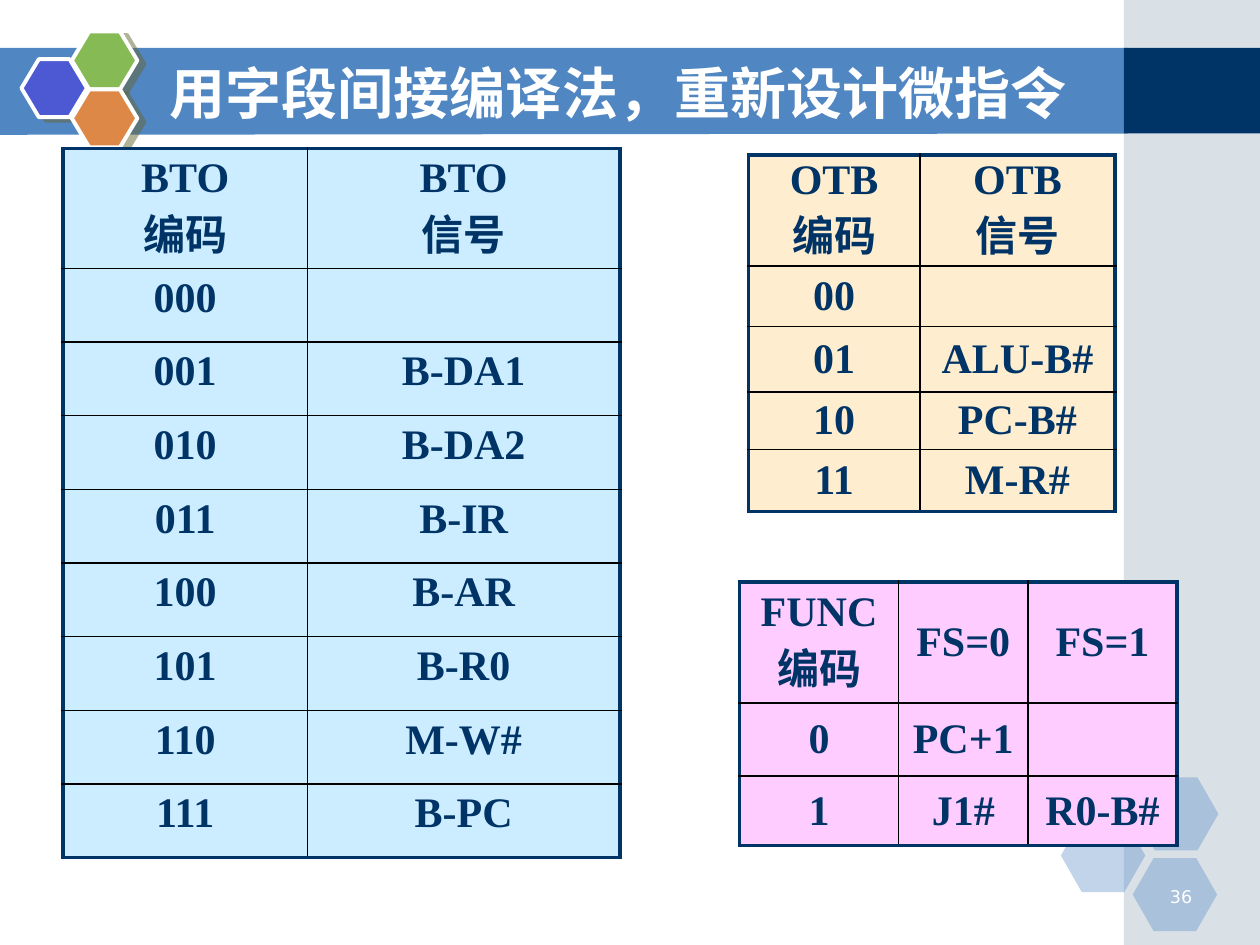
"""Build the slide of recoded micro-instruction fields."""
from typing import NamedTuple

from lxml import etree
from pptx import Presentation
from pptx.dml.color import RGBColor
from pptx.enum import shapes, text
from pptx.oxml.ns import qn
from pptx.util import Emu, Pt

COLS, ROWS = 1000, 750
UNIT = 9144
NAVY, BLUE, WHITE, BLACK = "003366", "5086C2", "FFFFFF", "000000"
LATIN, HAN, SANS = "Times New Roman", "Noto Sans CJK SC", "DejaVu Sans"
RECT, HEX = shapes.MSO_SHAPE.RECTANGLE, shapes.MSO_SHAPE.HEXAGON


class Box(NamedTuple):
    """Left, top, width and height in grid units."""
    x: float
    y: float
    w: float
    h: float


class Tile(NamedTuple):
    """A filled preset shape."""
    box: Box
    fill: str
    kind: int = HEX
    alpha: int = 100
    bend: float = 0.286
    edge: bool = False


class Grid(NamedTuple):
    """A code table with its place, sizes and text."""
    x: float
    y: float
    cols: list[int]
    rows: list[int]
    fill: str
    data: list[list[str]]
    pad: tuple[int, int] = (10, 5)
    mid: bool = True


BARS = [Tile(Box(892, 0, 108, ROWS), "A0B5C4", RECT, 40),
        Tile(Box(892, 38, 108, 68), NAVY, RECT)]
FAINT = [Tile(Box(x, y, 67, 58), BLUE, alpha=35)
         for x, y in ((842, 650), (900, 617), (899, 681))]
LOGO = [Tile(Box(x, y, 52, 46), fill, bend=0.3, edge=True)
        for x, y, fill in ((17, 47, "4C59D2"), (57, 25, "85BA54"), (57, 71, "DE8848"))]

SIGNS = ["", "B-DA1", "B-DA2", "B-IR", "B-AR", "B-R0", "M-W#", "B-PC"]
GRIDS = [
    Grid(50, 118, [194, 248], [95] + [58.5] * 8, "CCECFF",
         [["BTO\n编码", "BTO\n信号"]] + [[f"{i:03b}", s] for i, s in enumerate(SIGNS)],
         mid=False),
    Grid(594, 123, [136, 155], [88, 48, 52, 46, 49], "FEEDCE",
         [["OTB\n编码", "OTB\n信号"], ["00", ""], ["01", "ALU-B#"],
          ["10", "PC-B#"], ["11", "M-R#"]], pad=(0, 0)),
    Grid(587, 462, [126, 103, 118], [96, 58, 55], "FFCCFF",
         [["FUNC\n编码", "FS=0", "FS=1"], ["0", "PC+1", ""], ["1", "J1#", "R0-B#"]]),
]


def span(n: float) -> Emu:
    """Turn grid units into a length."""
    return Emu(round(n * UNIT))


def paint(fmt, hue: str) -> None:
    """Make a fill solid in a hex colour."""
    fmt.solid()
    fmt.fore_color.rgb = RGBColor.from_string(hue)


def add_hue(node, hue: str, alpha: int = 100) -> None:
    """Add a colour element with its opacity."""
    clr = etree.SubElement(node, qn("a:srgbClr"), val=hue)
    if alpha < 100:
        etree.SubElement(clr, qn("a:alpha"), val=str(alpha * 1000))


def draw_tile(host, tile: Tile) -> None:
    """Draw one preset shape."""
    shp = host.add_shape(tile.kind, *map(span, tile.box))
    paint(shp.fill, tile.fill)
    if tile.alpha < 100:
        clr = shp._element.spPr.find(".//" + qn("a:srgbClr"))
        etree.SubElement(clr, qn("a:alpha"), val=str(tile.alpha * 1000))
    if tile.kind == HEX:
        shp.adjustments[0] = tile.bend
    shp.shadow.inherit = False
    if not tile.edge:
        shp.line.fill.background()
        return
    paint(shp.line.fill, WHITE)
    shp.line.width = Pt(2.25)
    fx = shp._element.spPr.find(qn("a:effectLst"))
    cast = etree.SubElement(fx, qn("a:outerShdw"), blurRad="0", dist=str(Pt(4.5)),
                            dir=str(27 * 60000), algn="ctr", rotWithShape="0")
    add_hue(cast, "666633", 50)


def draw_band(host) -> None:
    """Draw the title band."""
    pen = host.build_freeform(0, 38, scale=UNIT)
    pen.add_line_segments([(895, 38), (895, 106), (0, 107)], close=True)
    band = pen.convert_to_shape()
    paint(band.fill, BLUE)
    band.line.fill.background()
    band.shadow.inherit = False


def style(para, size: float, face: str, hue: str, bold: bool) -> None:
    """Format every run of a paragraph."""
    for run in para.runs:
        font = run.font
        font.size, font.name, font.bold = Pt(size), face, bold
        font.color.rgb = RGBColor.from_string(hue)
        etree.SubElement(run._r.get_or_add_rPr(), qn("a:ea"), typeface=HAN)


def draw_text(host, box: Box, words: str, size: float, face: str, bold: bool,
              side, anchor) -> None:
    """Draw one white line of text."""
    frame = host.add_textbox(*map(span, box)).text_frame
    frame.word_wrap = True
    frame.vertical_anchor = anchor
    frame.text = words
    para = frame.paragraphs[0]
    para.alignment = side
    style(para, size, face, WHITE, bold)


def add_edge(cell, tag: str, outer: bool) -> None:
    """Add one border to a cell."""
    hue, width = (NAVY, 2.25) if outer else (BLACK, 1)
    line = etree.SubElement(cell._tc.get_or_add_tcPr(), qn(tag), w=str(Pt(width)))
    add_hue(etree.SubElement(line, qn("a:solidFill")), hue)


def fill_cell(cell, grid: Grid, words: str) -> None:
    """Write and format one cell."""
    paint(cell.fill, grid.fill)
    cell.margin_left = cell.margin_right = span(grid.pad[0])
    cell.margin_top = cell.margin_bottom = span(grid.pad[1])
    cell.vertical_anchor = text.MSO_ANCHOR.MIDDLE if grid.mid else text.MSO_ANCHOR.TOP
    cell.text_frame.text = words
    for para in cell.text_frame.paragraphs:
        para.alignment = text.PP_ALIGN.CENTER
        props = para._p.get_or_add_pPr()
        props.set("marL", str(span(38)))
        props.set("indent", str(span(-38)))
        style(para, 24, LATIN, NAVY, True)


def draw_grid(host, grid: Grid) -> None:
    """Draw one code table."""
    high, wide = len(grid.rows), len(grid.cols)
    box = Box(grid.x, grid.y, sum(grid.cols), sum(grid.rows))
    tab = host.add_table(high, wide, *map(span, box)).table
    tab.first_row = tab.horz_banding = False
    for col, w in zip(tab.columns, grid.cols):
        col.width = span(w)
    for row, h in zip(tab.rows, grid.rows):
        row.height = span(h)
    for r, line in enumerate(grid.data):
        for c, words in enumerate(line):
            cell = tab.cell(r, c)
            for tag, outer in (("a:lnL", c == 0), ("a:lnR", c == wide - 1),
                               ("a:lnT", r == 0), ("a:lnB", r == high - 1)):
                add_edge(cell, tag, outer)
            fill_cell(cell, grid, words)


def main() -> None:
    """Build and save the slide."""
    deck = Presentation()
    deck.slide_width, deck.slide_height = span(COLS), span(ROWS)
    host = deck.slides.add_slide(deck.slide_layouts[6]).shapes
    draw_band(host)
    for tiles in (BARS, FAINT, LOGO):
        group = host.add_group_shape().shapes
        for tile in tiles:
            draw_tile(group, tile)
    draw_text(host, Box(906, 698, 50, 25), "36", 10, SANS, False,
              text.PP_ALIGN.RIGHT, text.MSO_ANCHOR.TOP)
    draw_text(host, Box(125, 42, 785, 62), "用字段间接编译法，重新设计微指令", 32, HAN, True,
              text.PP_ALIGN.LEFT, text.MSO_ANCHOR.MIDDLE)
    for grid in GRIDS:
        draw_grid(host, grid)
    deck.save("out.pptx")


if __name__ == "__main__":
    main()
